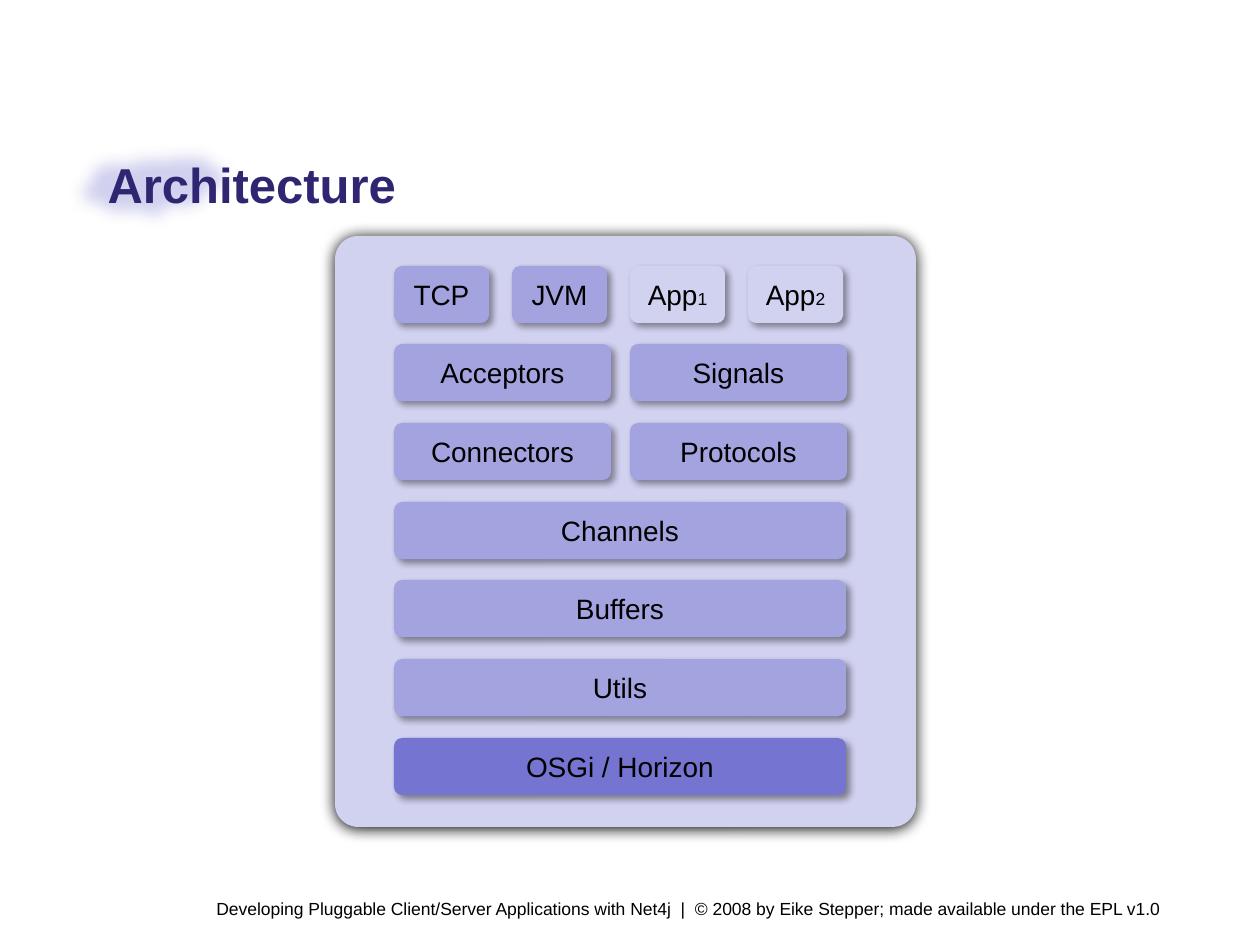
from dataclasses import dataclass

from lxml import etree
from pptx import Presentation
from pptx.dml.color import RGBColor
from pptx.enum.shapes import MSO_SHAPE
from pptx.enum.text import MSO_ANCHOR, PP_ALIGN
from pptx.oxml.ns import qn
from pptx.util import Pt

CLOUD = MSO_SHAPE.CLOUD
ROUNDED = MSO_SHAPE.ROUNDED_RECTANGLE
MIDDLE = MSO_ANCHOR.MIDDLE
LEFT = PP_ALIGN.LEFT
CENTER = PP_ALIGN.CENTER
TITLE_ONLY = 5
EMU_PER_PX = 914400 / 126


@dataclass(frozen=True)
class Theme:
    """Colours, font and type sizes of the slide."""
    font: str = "Arial"
    pale: str = "D1D1F0"
    medium: str = "A3A3E0"
    strong: str = "7575D1"
    heading: str = "2F2672"
    text: str = "000000"
    title_size: int = 28
    label_size: int = 16
    small_size: int = 10


@dataclass(frozen=True)
class Shadow:
    """An outer shadow in points, degrees and percent."""
    blur: float
    distance: float
    angle: int
    opacity: int


@dataclass(frozen=True)
class Block:
    """One block of the architecture, placed on a four-column grid."""
    label: str
    row: int
    column: int
    span: int
    fill: str
    index: str = ""


THEME = Theme()
PANEL_SHADOW = Shadow(8.5, 1, 90, 100)
BLOCK_SHADOW = Shadow(4, 3, 45, 40)
GRID_LEFT, GRID_TOP = 394, 266
COLUMN_PITCH, SIX_ROWS = 118, 472
BLOCK_HEIGHT = 57
SPAN_WIDTHS = {1: 95, 2: 217, 4: 452}
BLOCKS = [
    Block("TCP", 0, 0, 1, THEME.medium),
    Block("JVM", 0, 1, 1, THEME.medium),
    Block("App", 0, 2, 1, THEME.pale, "1"),
    Block("App", 0, 3, 1, THEME.pale, "2"),
    Block("Acceptors", 1, 0, 2, THEME.medium),
    Block("Signals", 1, 2, 2, THEME.medium),
    Block("Connectors", 2, 0, 2, THEME.medium),
    Block("Protocols", 2, 2, 2, THEME.medium),
    Block("Channels", 3, 0, 4, THEME.medium),
    Block("Buffers", 4, 0, 4, THEME.medium),
    Block("Utils", 5, 0, 4, THEME.medium),
    Block("OSGi / Horizon", 6, 0, 4, THEME.strong),
]
FOOTER = ("Developing Pluggable Client/Server Applications with Net4j  |  "
          "© 2008 by Eike Stepper; made available under the EPL v1.0")


def px(length: float) -> int:
    """Turn pixels into EMU."""
    return round(length * EMU_PER_PX)


def write(para, text: str, *, size: int, color: str = THEME.text,
          bold: bool = False, align=LEFT) -> None:
    """Append formatted text to a paragraph."""
    para.alignment = align
    span = para.add_run()
    span.text = text
    span.font.name = THEME.font
    span.font.size = Pt(size)
    span.font.bold = bold
    span.font.color.rgb = RGBColor.from_string(color)


def add_filled(page, kind, left: int, top: int, width: int, height: int, fill: str):
    """Add a filled shape without a line or shadow."""
    shape = page.shapes.add_shape(kind, px(left), px(top), px(width), px(height))
    shape.shadow.inherit = False
    shape.fill.solid()
    shape.fill.fore_color.rgb = RGBColor.from_string(fill)
    shape.line.fill.background()
    return shape


def effect_list(shape):
    """Return the effect list of a shape."""
    return shape.element.spPr.find(qn("a:effectLst"))


def cast_shadow(shape, shadow: Shadow) -> None:
    """Give a shape an outer shadow."""
    outer = etree.SubElement(
        effect_list(shape), qn("a:outerShdw"), blurRad=str(Pt(shadow.blur)),
        dist=str(Pt(shadow.distance)), dir=str(shadow.angle * 60000),
        algn="ctr", rotWithShape="0")
    color = etree.SubElement(outer, qn("a:srgbClr"), val="000000")
    etree.SubElement(color, qn("a:alpha"), val=str(shadow.opacity * 1000))


def draw_block(page, block: Block) -> None:
    """Draw one labelled block at its grid position."""
    shape = add_filled(page, ROUNDED, GRID_LEFT + COLUMN_PITCH * block.column,
                       GRID_TOP + SIX_ROWS * block.row // 6,
                       SPAN_WIDTHS[block.span], BLOCK_HEIGHT, block.fill)
    shape.adjustments[0] = 0.14
    cast_shadow(shape, BLOCK_SHADOW)
    frame = shape.text_frame
    frame.vertical_anchor = MIDDLE
    frame.margin_left = frame.margin_right = 0
    para = frame.paragraphs[0]
    write(para, block.label, size=THEME.label_size, align=CENTER)
    if block.index:
        write(para, block.index, size=THEME.small_size, align=CENTER)


def draw_title(page) -> None:
    """Fill the title placeholder and put a soft cloud behind it."""
    cloud = add_filled(page, CLOUD, 59, 137, 186, 98, THEME.pale)
    etree.SubElement(effect_list(cloud), qn("a:softEdge"), rad=str(Pt(9)))
    title = page.shapes.title
    cloud.element.addnext(title.element)
    title.left, title.top, title.width, title.height = map(px, (95, 147, 1071, 73))
    title.text_frame.vertical_anchor = MIDDLE
    write(title.text_frame.paragraphs[0], "Architecture", size=THEME.title_size,
          color=THEME.heading, bold=True)


def draw_footer(page) -> None:
    """Write the footer line."""
    box = page.shapes.add_textbox(px(204), px(892), px(1056), px(34))
    box.text_frame.word_wrap = True
    write(box.text_frame.paragraphs[0], FOOTER, size=THEME.small_size)


def main() -> None:
    """Build and save the deck."""
    deck = Presentation()
    deck.slide_width, deck.slide_height = px(1260), px(945)
    page = deck.slides.add_slide(deck.slide_layouts[TITLE_ONLY])
    draw_footer(page)
    draw_title(page)
    panel = add_filled(page, ROUNDED, 335, 236, 581, 591, THEME.pale)
    panel.adjustments[0] = 0.04
    cast_shadow(panel, PANEL_SHADOW)
    for block in BLOCKS:
        draw_block(page, block)
    deck.save("out.pptx")


if __name__ == "__main__":
    main()
